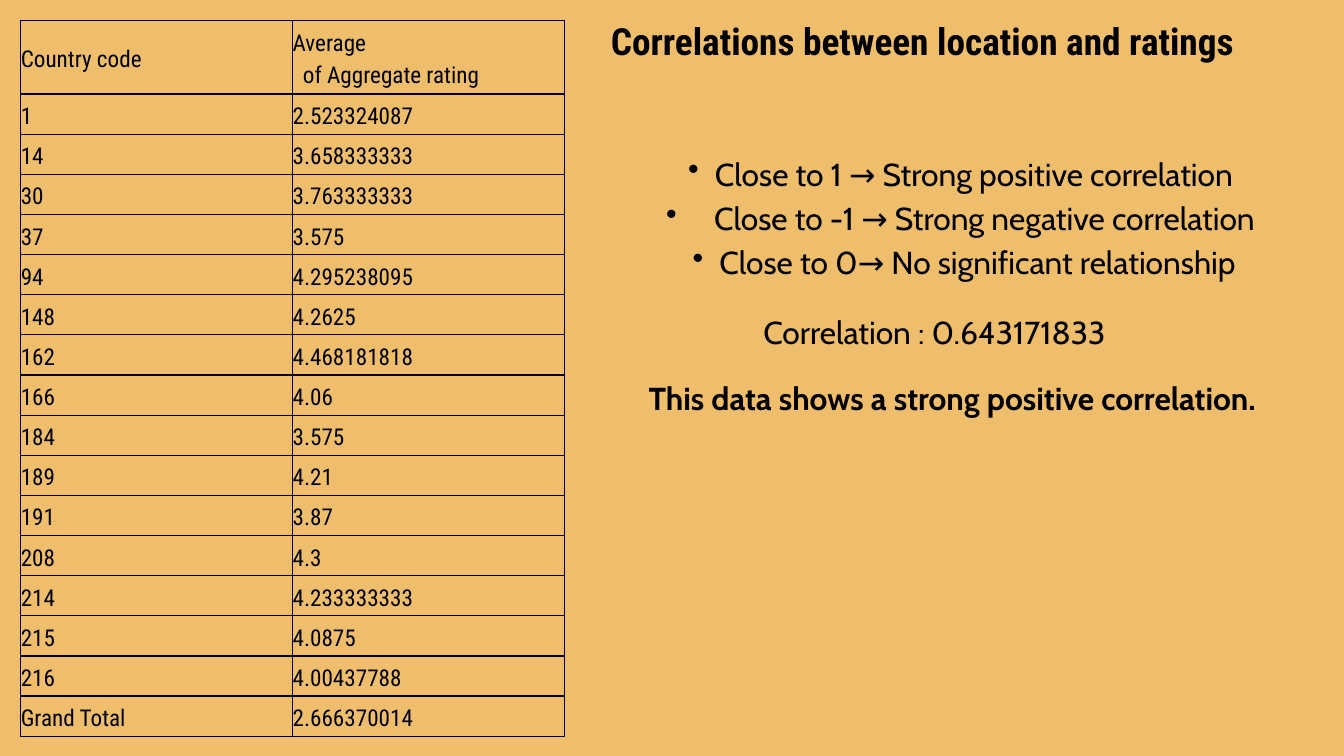
import pptx
import pptx.dml.color
import pptx.enum.text
import pptx.oxml
import pptx.oxml.ns
import pptx.util

Pt = pptx.util.Pt
SAND = pptx.dml.color.RGBColor(0xEE, 0xBE, 0x6D)
BLACK = pptx.dml.color.RGBColor(0, 0, 0)
HEAD = "Roboto Condensed"
BODY = "Cabin"
NS = pptx.oxml.ns.nsdecls("a")

ROWS = [
    ("Country code", "Average\nof Aggregate rating"),
    ("1", "2.523324087"),
    ("14", "3.658333333"),
    ("30", "3.763333333"),
    ("37", "3.575"),
    ("94", "4.295238095"),
    ("148", "4.2625"),
    ("162", "4.468181818"),
    ("166", "4.06"),
    ("184", "3.575"),
    ("189", "4.21"),
    ("191", "3.87"),
    ("208", "4.3"),
    ("214", "4.233333333"),
    ("215", "4.0875"),
    ("216", "4.00437788"),
    ("Grand Total", "2.666370014"),
]
RULES = [
    ("Close to 1 → Strong positive correlation ", 0),
    ("Close to -1 → Strong negative correlation ", 22.5),
    ("Close to 0→ No significant relationship", 0),
]


def style(par, face, size, lead, bold=False):
    """Set the font and line pitch of a paragraph."""
    par.font.name = face
    par.font.size = Pt(size)
    par.font.bold = bold
    par.font.color.rgb = BLACK
    par.line_spacing = Pt(lead)


def indent(par, left, first):
    """Set the left margin and first-line indent of a paragraph."""
    props = par._p.get_or_add_pPr()
    props.set("marL", str(Pt(left)))
    props.set("indent", str(Pt(first)))


def border(cell):
    """Draw a thin black line on each side of a cell."""
    props = cell._tc.get_or_add_tcPr()
    for spot, side in enumerate(("lnL", "lnR", "lnT", "lnB")):
        line = pptx.oxml.parse_xml(
            f'<a:{side} {NS} w="{Pt(1.5)}"><a:solidFill>'
            f'<a:srgbClr val="{BLACK}"/></a:solidFill></a:{side}>'
        )
        props.insert(spot, line)


def fill_cell(cell, text):
    """Write and style one table cell."""
    cell.text = text
    cell.fill.background()
    cell.vertical_anchor = pptx.enum.text.MSO_ANCHOR.MIDDLE
    cell.margin_left = cell.margin_right = 0
    cell.margin_top = cell.margin_bottom = 0
    for num, par in enumerate(cell.text_frame.paragraphs):
        style(par, HEAD, 24.8, 34.7)
        if num:
            indent(par, 11, 0)
    border(cell)


def add_grid(slide, left, top, width, height):
    """Place the table of average ratings by country."""
    frame = slide.shapes.add_table(
        len(ROWS), 2, Pt(left), Pt(top), Pt(width), Pt(height)
    )
    grid = frame.table
    grid.first_row = grid.horz_banding = False
    first = 79.2
    for num, row in enumerate(grid.rows):
        row.height = Pt((height - first) / (len(ROWS) - 1) if num else first)
        for cell, text in zip(row.cells, ROWS[num]):
            fill_cell(cell, text)


def add_text(slide, box, lines, face, size, lead, bold=False):
    """Place centred lines in a box and return their paragraphs."""
    shape = slide.shapes.add_textbox(*[Pt(v) for v in box])
    frame = shape.text_frame
    frame.text = "\n".join(lines)
    frame.word_wrap = True
    frame.auto_size = pptx.enum.text.MSO_AUTO_SIZE.SHAPE_TO_FIT_TEXT
    frame.margin_left = frame.margin_right = 0
    frame.margin_top = frame.margin_bottom = 0
    for par in frame.paragraphs:
        par.alignment = pptx.enum.text.PP_ALIGN.CENTER
        style(par, face, size, lead, bold)
    return frame.paragraphs


def add_notes(slide, left, top):
    """Place the title, the bulleted rules and the findings."""
    add_text(slide, (left + 15, top, 669, 109),
             ["Correlations between location and ratings"], HEAD, 40, 56, True)
    pars = add_text(slide, (left, top + 147, 760, 140),
                    [text for text, _ in RULES], BODY, 34, 47.6)
    for par, (_, gap) in zip(pars, RULES):
        indent(par, 57.6 + gap, -28.8 - gap)
        par._p.get_or_add_pPr().append(
            pptx.oxml.parse_xml(f'<a:buChar {NS} char="•"/>')
        ) if par._p.pPr.find(pptx.oxml.ns.qn("a:defRPr")) is None else \
            par._p.pPr.find(pptx.oxml.ns.qn("a:defRPr")).addprevious(
                pptx.oxml.parse_xml(f'<a:buChar {NS} char="•"/>'))
    add_text(slide, (left + 152.5, top + 317, 420.5, 93),
             ["Correlation : 0.643171833"], BODY, 34, 47.6)
    add_text(slide, (left + 7, top + 388, 749.5, 45.5),
             ["This data shows a strong positive correlation."],
             BODY, 34, 47.6, True)


def main():
    """Build and save the slide."""
    deck = pptx.Presentation()
    deck.slide_width, deck.slide_height = Pt(1440), Pt(810)
    slide = deck.slides.add_slide(deck.slide_layouts[6])
    slide.background.fill.solid()
    slide.background.fill.fore_color.rgb = SAND
    add_grid(slide, 22.3, 21.6, 582.5, 767.5)
    add_notes(slide, 638.6, 11.5)
    deck.save("out.pptx")


if __name__ == "__main__":
    main()
